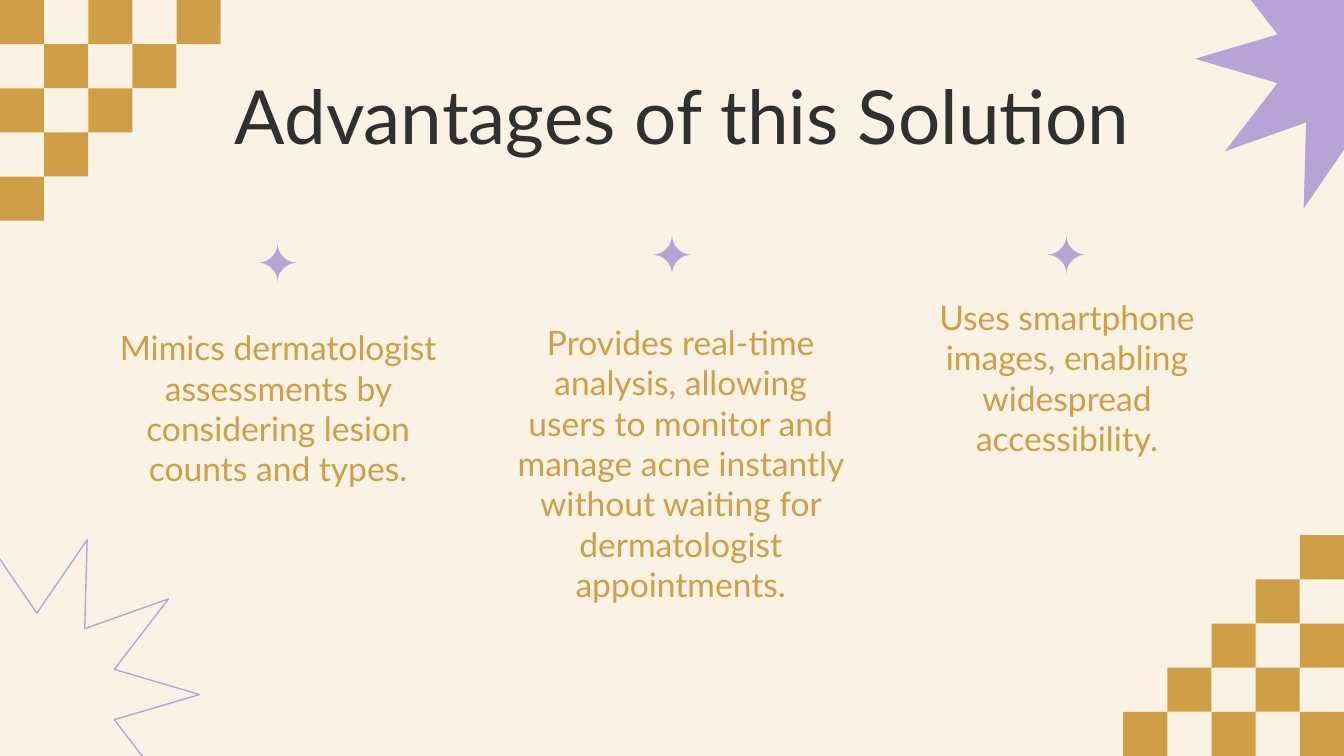
"""Build the slide that lists three advantages of the solution."""
import math

from lxml import etree
from pptx import Presentation
from pptx import util as u
from pptx.dml import color
from pptx.enum import shapes, text
from pptx.oxml import ns

WIDTH, HEIGHT = 720, 405
CREAM, GOLD, LILAC, CHARCOAL = "FAF2E5", "CF9F48", "B8A3D4", "30302F"
FONT = "Lato"
TITLE = ("Advantages of this Solution", (67.68, 38.88, 595.44, 45.36))
ADVANTAGES = [
    ("Mimics dermatologist assessments by considering lesion counts and types.",
     (56.88, 151.2, 184.32, 134.64)),
    ("Provides real-time analysis, allowing users to monitor and manage acne "
     "instantly without waiting for dermatologist appointments.",
     (267.84, 167.04, 193.68, 162)),
    ("Uses smartphone images, enabling widespread accessibility.",
     (479.52, 154.08, 184.32, 96.48)),
]
SPARKLE_CENTRES = [(148.68, 140.76), (360, 136.44), (571.32, 136.44)]
SPARKLE_RADIUS = 10.5
CELL, STEPS = 23.65, 5
FILLED_BURST = (724.5, 31.5, 84.3)
OUTLINED_BURST = (19.8, 372.1, 87.2)


def rgb(value):
    return color.RGBColor.from_string(value)


def paint(shape, fill=None, line=None):
    shape.shadow.inherit = False
    if fill:
        shape.fill.solid()
        shape.fill.fore_color.rgb = rgb(fill)
    else:
        shape.fill.background()
    if line:
        shape.line.color.rgb = rgb(line)
        shape.line.width = u.Pt(0.75)
    else:
        shape.line.fill.background()


def draw_polygon(slide, points, **colours):
    corners = [(u.Pt(x), u.Pt(y)) for x, y in points]
    builder = slide.shapes.build_freeform(*corners[0])
    builder.add_line_segments(corners[1:], close=True)
    paint(builder.convert_to_shape(), **colours)


def burst_points(x, y, radius, tips=10):
    for index in range(2 * tips):
        reach = radius / 2 if index % 2 else radius
        angle = math.pi * index / tips
        yield x + reach * math.cos(angle), y + reach * math.sin(angle)


def sparkle_points(x, y, radius, steps=10):
    for quarter in range(4):
        corner = math.pi * (quarter / 2 + 0.25)
        centre_x = x + radius * math.sqrt(2) * math.cos(corner)
        centre_y = y + radius * math.sqrt(2) * math.sin(corner)
        for step in range(steps):
            angle = math.pi / 2 * (quarter - 1 - step / steps)
            yield (centre_x + radius * math.cos(angle),
                   centre_y + radius * math.sin(angle))


def draw_checkers(slide):
    cells = [(column, row) for row in range(STEPS)
             for column in range(STEPS - row) if (column + row) % 2 == 0]
    for column, row in cells:
        left, top = column * CELL, row * CELL
        for x, y in ((left, top), (WIDTH - CELL - left, HEIGHT - CELL - top)):
            square = slide.shapes.add_shape(
                shapes.MSO_SHAPE.RECTANGLE, u.Pt(x), u.Pt(y), u.Pt(CELL), u.Pt(CELL))
            paint(square, fill=GOLD)


def write_text(shape, words, box, size, colour):
    shape.left, shape.top, shape.width, shape.height = map(u.Pt, box)
    frame = shape.text_frame
    frame.text = words
    frame.word_wrap = True
    frame.auto_size = text.MSO_AUTO_SIZE.NONE
    frame.vertical_anchor = text.MSO_ANCHOR.MIDDLE
    frame.margin_left = frame.margin_right = u.Pt(7.2)
    frame.margin_top = frame.margin_bottom = u.Pt(7.2)
    paragraph = frame.paragraphs[0]
    paragraph.alignment = text.PP_ALIGN.CENTER
    paragraph.space_before = u.Pt(0)
    properties = paragraph._p.get_or_add_pPr()
    properties.set("marL", "0")
    properties.set("indent", "0")
    etree.SubElement(properties, ns.qn("a:buNone"))
    paragraph.font.name = FONT
    paragraph.font.size = u.Pt(size)
    paragraph.font.bold = False
    paragraph.font.color.rgb = rgb(colour)
    shape.element.getparent().append(shape.element)


def main():
    presentation = Presentation()
    presentation.slide_width, presentation.slide_height = u.Pt(WIDTH), u.Pt(HEIGHT)
    slide = presentation.slides.add_slide(
        presentation.slide_layouts.get_by_name("Comparison"))
    slide.background.fill.solid()
    slide.background.fill.fore_color.rgb = rgb(CREAM)
    title, *bodies, spare = slide.placeholders
    spare.element.getparent().remove(spare.element)

    draw_checkers(slide)
    draw_polygon(slide, burst_points(*FILLED_BURST), fill=LILAC)
    draw_polygon(slide, burst_points(*OUTLINED_BURST), line=LILAC)
    write_text(title, *TITLE, 40, CHARCOAL)
    for body, (words, box) in zip(bodies, ADVANTAGES):
        write_text(body, words, box, 18, GOLD)
    for centre in SPARKLE_CENTRES:
        draw_polygon(slide, sparkle_points(*centre, SPARKLE_RADIUS), fill=LILAC)
    presentation.save("out.pptx")


if __name__ == "__main__":
    main()
